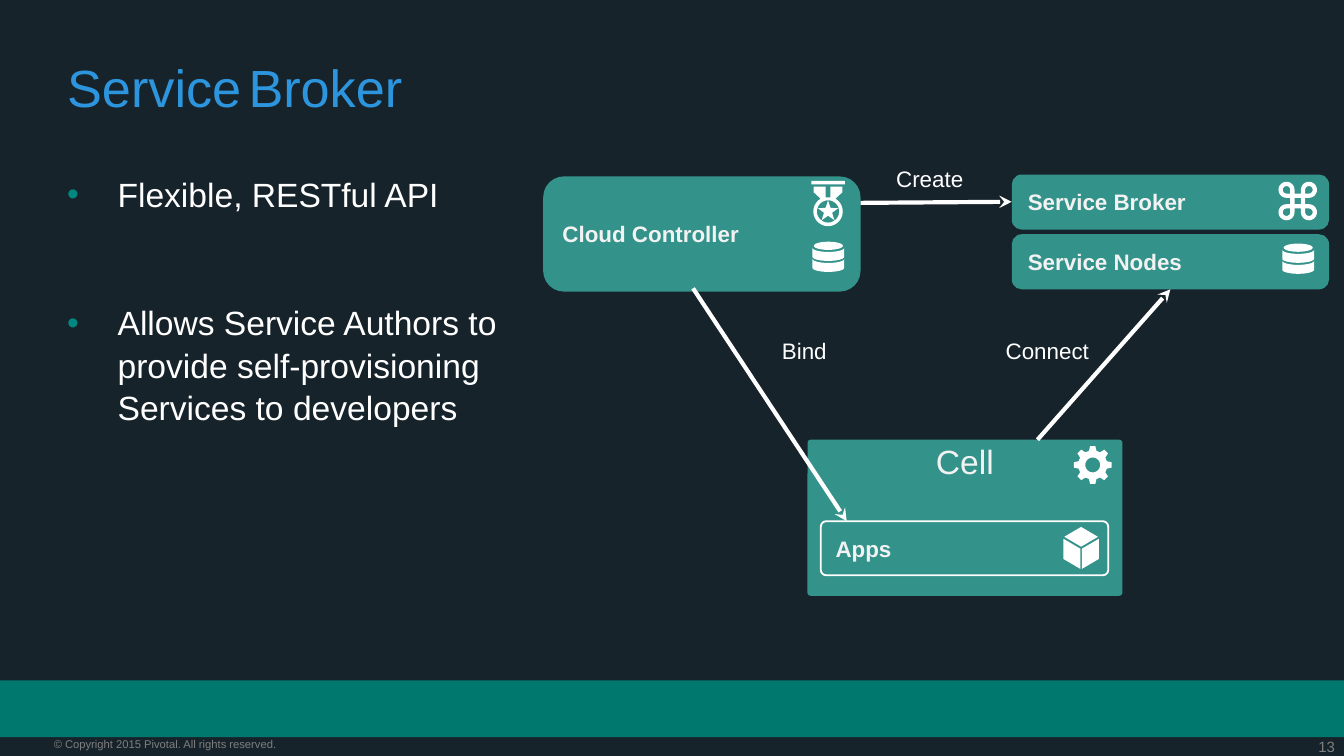
from math import cos, sin, radians

from lxml import etree
from pptx import Presentation
from pptx.dml.color import RGBColor
from pptx.enum.shapes import MSO_CONNECTOR, MSO_SHAPE as SHAPE
from pptx.enum.text import MSO_ANCHOR as ANCHOR, MSO_AUTO_SIZE, PP_ALIGN as ALIGN
from pptx.oxml.ns import qn
from pptx.util import Pt

NIGHT = RGBColor(0x17, 0x23, 0x2A)
BAND = RGBColor(0x00, 0x78, 0x6E)
TEAL = RGBColor(0x33, 0x92, 0x8A)
BLUE = RGBColor(0x2C, 0x95, 0xDD)
GREY = RGBColor(0x7F, 0x7F, 0x7F)
PALE = RGBColor(0xF2, 0xF2, 0xF2)
WHITE = RGBColor(0xFF, 0xFF, 0xFF)
BLACK = RGBColor(0, 0, 0)
BULLET = "008881"
FONT = "Arial"


def arc(cx, cy, rx, ry, start, end, steps=24):
    """Points along an ellipse; angles in degrees, clockwise from the right."""
    angles = [radians(start + (end - start) * i / steps) for i in range(steps + 1)]
    return [(cx + rx * cos(a), cy + ry * sin(a)) for a in angles]


def add_icon(contours):
    """Draw closed contours as one white shape; inner contours become holes."""
    contours = [[(Pt(x), Pt(y)) for x, y in c] for c in contours]
    builder = s.shapes.build_freeform(*contours[0][0])
    for i, c in enumerate(contours):
        if i:
            builder.move_to(*c[0])
        builder.add_line_segments(c[1:], close=True)
    sp = builder.convert_to_shape()
    sp.shadow.inherit = False
    sp.fill.solid()
    sp.fill.fore_color.rgb = WHITE
    sp.line.fill.background()


prs = Presentation()
prs.slide_width, prs.slide_height = Pt(720), Pt(405)
s = prs.slides.add_slide(prs.slide_layouts[1])
s.background.fill.solid()
s.background.fill.fore_color.rgb = NIGHT

# Title and list
title, body = s.shapes.title, s.placeholders[1]
for sp, top, width, height in ((title, 26, 662.4, 36), (body, 85, 303, 266)):
    sp.left, sp.top, sp.width, sp.height = Pt(28.8), Pt(top), Pt(width), Pt(height)
    tf = sp.text_frame
    tf.auto_size, tf.vertical_anchor = MSO_AUTO_SIZE.NONE, ANCHOR.TOP
    tf.margin_left = tf.margin_right = tf.margin_top = tf.margin_bottom = Pt(7.2)

p = title.text_frame.paragraphs[0]
p.alignment, p.line_spacing = ALIGN.LEFT, 0.9
for text, size, color in (("Service", 28, BLUE), (" ", 14, BLACK), ("Broker", 28, BLUE)):
    r = p.add_run()
    r.text = text
    r.font.name, r.font.size, r.font.color.rgb = FONT, Pt(size), color

body.text_frame.text = ("Flexible, RESTful API\n"
                        "Allows Service Authors to provide self-provisioning Services to developers")
for p, gap in zip(body.text_frame.paragraphs, (0, 46)):
    pPr = p._p.get_or_add_pPr()
    pPr.set("marL", str(Pt(27)))
    pPr.set("indent", str(-Pt(27)))
    color = etree.SubElement(pPr, qn("a:buClr"))
    etree.SubElement(color, qn("a:srgbClr"), val=BULLET)
    etree.SubElement(pPr, qn("a:buFont"), typeface=FONT)
    etree.SubElement(pPr, qn("a:buChar"), char="•")
    p.line_spacing, p.space_before = 1.05, Pt(gap)
    f = p.runs[0].font
    f.name, f.size, f.color.rgb = FONT, Pt(18), WHITE

# Footer band and component boxes: text, place, corner, fill
boxes = (
    ("", 0, 364.5, 720, 30.5, 0, BAND),
    ("Cell", 432.6, 235.6, 168.7, 83.6, 0.02, TEAL),
    ("Apps", 439.7, 279.2, 154, 29, 0.1, None),
    ("Service Broker", 542, 93.5, 170, 29.5, 0.18, TEAL),
    ("Service Nodes", 542, 125.5, 170, 29.5, 0.18, TEAL),
    ("Cloud Controller", 291, 94.5, 170, 61.7, 0.18, TEAL),
)
for text, x, y, w, h, corner, fill in boxes:
    kind = SHAPE.ROUNDED_RECTANGLE if corner else SHAPE.RECTANGLE
    sp = s.shapes.add_shape(kind, Pt(x), Pt(y), Pt(w), Pt(h))
    sp.shadow.inherit = False
    if corner:
        sp.adjustments[0] = corner
    if fill:
        sp.fill.solid()
        sp.fill.fore_color.rgb = fill
        sp.line.fill.background()
    else:
        sp.fill.background()
        sp.line.color.rgb, sp.line.width = WHITE, Pt(1)
    if not text:
        continue
    heading = text == "Cell"
    tf = sp.text_frame
    tf.text = text
    tf.margin_top = tf.margin_bottom = 0
    tf.vertical_anchor = ANCHOR.TOP if heading else ANCHOR.MIDDLE
    p = tf.paragraphs[0]
    p.alignment = ALIGN.CENTER if heading else ALIGN.LEFT
    f = p.runs[0].font
    f.name, f.size, f.bold, f.color.rgb = FONT, Pt(18 if heading else 12), not heading, PALE

# Cube icon on Apps
add_icon([
    [(569.7, 288.7), (578.8, 294), (578.8, 304.8), (569.7, 299.5)],
    [(588.7, 288.7), (588.7, 299.5), (579.6, 304.8), (579.6, 294)],
    [(579.2, 282.3), (588.2, 287.6), (579.2, 292.9), (570.2, 287.6)],
])

# Gear icon on Cell
gx, gy = 585.4, 249.1
teeth = []
for angle in range(0, 360, 45):
    for turn, radius in ((-15, 7.8), (-8, 10.2), (8, 10.2), (15, 7.8)):
        a = radians(angle + turn)
        teeth.append((gx + radius * cos(a), gy + radius * sin(a)))
add_icon([teeth, arc(gx, gy, 4, 4, 0, 360)])

# Looped square icon on Service Broker
lx, ly = 695.2, 107.7
outline, holes = [], []
for turn in range(0, 360, 90):
    c, d = round(cos(radians(turn))), round(sin(radians(turn)))
    cx, cy = lx + 6 * (c + d), ly + 6 * (d - c)
    outline += arc(cx, cy, 4.3, 4.3, 180 + turn, 450 + turn)
    outline += [(lx + 4 * c - y * d, ly + 4 * d + y * c) for y in (-1.7, 1.7)]
    corner = (lx + 4 * (c + d), ly + 4 * (d - c))
    holes.append(arc(cx, cy, 2, 2, 180 + turn, 450 + turn) + [corner])
square = [(lx + 1.7 * i, ly + 1.7 * j) for i, j in ((-1, -1), (1, -1), (1, 1), (-1, 1))]
add_icon([outline, *holes, square])

# Database icons on Service Nodes and Cloud Controller
for cx, top in ((695.5, 130.5), (443.8, 129.5)):
    bands = [arc(cx, top + y, 8.5, 2.2, 180, 0) + arc(cx, top + y + 4.8, 8.5, 2.2, 0, 180)
             for y in (3.3, 9.2)]
    add_icon([arc(cx, top + 2.2, 7.8, 2.2, 0, 360), *bands])

# Medal icon on Cloud Controller
mx, my = 443.6, 113.3
star = [(mx + r * cos(radians(a)), my + r * sin(radians(a)))
        for a, r in zip(range(-90, 270, 36), (5.8, 2.3) * 5)]
ribbon = [(mx + 1.3, 100), (mx + 7.7, 100), (mx + 7.7, 103), (mx + 4, 106.4)]
medal = ribbon + arc(mx, my, 7.9, 7.9, -60, 240) + [(2 * mx - x, y) for x, y in ribbon[::-1]]
medal += [(mx - 1.3, 105.8), (mx + 1.3, 105.8)]
add_icon([
    [(mx - 9, 96.9), (mx + 9, 96.9), (mx + 9, 98.8), (mx - 9, 98.8)],
    medal, arc(mx, my, 6, 6, 0, 360), star,
])

# Arrows: create, connect, bind
for ends in ((461, 108.7, 542, 108.1), (555.8, 235.6, 627, 155), (371.3, 154.5, 453.6, 279.2)):
    cn = s.shapes.add_connector(MSO_CONNECTOR.STRAIGHT, *(Pt(v) for v in ends))
    cn.line.color.rgb, cn.line.width = WHITE, Pt(2.25)
    etree.SubElement(cn.line._get_or_add_ln(), qn("a:tailEnd"), type="stealth")
    etree.SubElement(cn._element.spPr, qn("a:effectLst"))

# Arrow labels and footer texts: text, place, margins, alignment, size, colour
labels = (
    ("Create", 469.6, 85, 57, 26.6, 7.2, 3.6, ALIGN.CENTER, 12, WHITE),
    ("Connect", 527.6, 177, 67, 26.6, 7.2, 3.6, ALIGN.CENTER, 12, WHITE),
    ("Bind", 408.2, 177, 45.4, 26.6, 7.2, 3.6, ALIGN.CENTER, 12, WHITE),
    ("13", 673.4, 395, 41.8, 10, 0, 0, ALIGN.RIGHT, 8, GREY),
    ("© Copyright 2015 Pivotal. All rights reserved.", 28.8, 395, 179, 7.2, 0, 0,
     ALIGN.LEFT, 6, GREY),
)
for text, x, y, w, h, side, edge, align, size, color in labels:
    tf = s.shapes.add_textbox(Pt(x), Pt(y), Pt(w), Pt(h)).text_frame
    tf.text, tf.word_wrap = text, True
    tf.margin_left = tf.margin_right = Pt(side)
    tf.margin_top = tf.margin_bottom = Pt(edge)
    p = tf.paragraphs[0]
    p.alignment = align
    f = p.runs[0].font
    f.name, f.size, f.color.rgb = FONT, Pt(size), color

prs.save("out.pptx")
